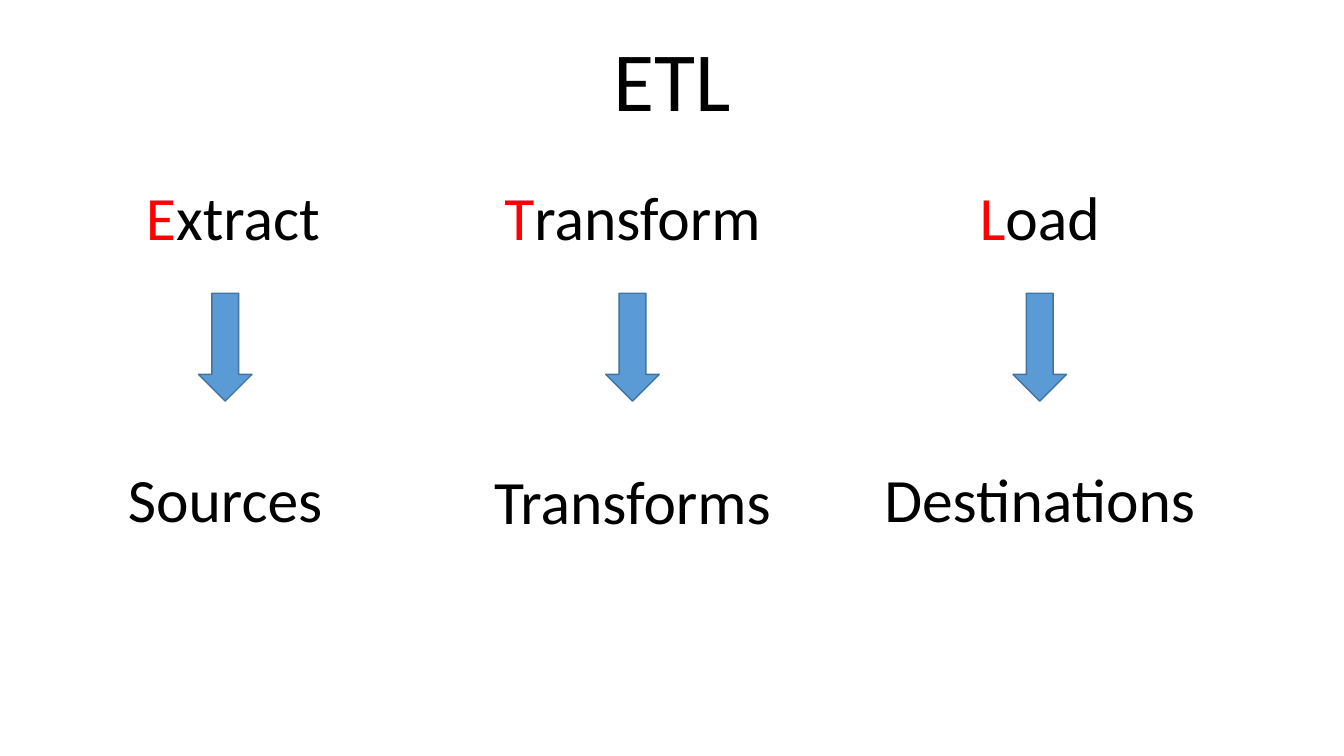
from pptx import Presentation
from pptx.dml.color import RGBColor
from pptx.enum.shapes import MSO_SHAPE as Shape
from pptx.enum.text import MSO_ANCHOR as Anchor, PP_ALIGN as Align
from pptx.util import Pt

BLACK = RGBColor(0x00, 0x00, 0x00)
RED = RGBColor(0xFF, 0x00, 0x00)
BLUE = RGBColor(0x5B, 0x9B, 0xD5)
DARK_BLUE = RGBColor(0x43, 0x73, 0x9E)

PAGE_WIDTH, PAGE_HEIGHT = 960, 540
FIRST_CENTER, COLUMN_STEP = 160.9, 290.9
LABEL_HEIGHT = 104.4
STEP_TOP, ARROW_TOP = 105.1, 209.5
ARROW_WIDTH, ARROW_HEIGHT = 38.2, 77


class Slide:
    font_name = "Calibri"

    def __init__(self, page):
        self.page = page

    def label(self, center, top, width, height, spans, size=44, anchor=Anchor.MIDDLE):
        """Add centred right-to-left text made of (text, colour) spans."""
        box = self.page.shapes.add_textbox(
            Pt(center - width / 2), Pt(top), Pt(width), Pt(height))
        frame = box.text_frame
        frame.word_wrap = True
        frame.vertical_anchor = anchor
        para = frame.paragraphs[0]
        for name, value in {"alignment": Align.CENTER, "line_spacing": 0.9}.items():
            setattr(para, name, value)
        para._p.get_or_add_pPr().set("rtl", "1")
        for text, color in spans:
            span = para.add_run()
            span.text = text
            for name, value in {"name": self.font_name, "size": Pt(size)}.items():
                setattr(span.font, name, value)
            span.font.color.rgb = color

    def down_arrow(self, center, top, width, height):
        arrow = self.page.shapes.add_shape(
            Shape.DOWN_ARROW, Pt(center - width / 2), Pt(top), Pt(width), Pt(height))
        arrow.shadow.inherit = False
        arrow.fill.solid()
        arrow.fill.fore_color.rgb = BLUE
        arrow.line.color.rgb = DARK_BLUE
        arrow.line.width = Pt(1)


def main():
    deck = Presentation()
    deck.slide_width, deck.slide_height = Pt(PAGE_WIDTH), Pt(PAGE_HEIGHT)
    slide = Slide(deck.slides.add_slide(deck.slide_layouts[6]))

    # Title
    slide.label(PAGE_WIDTH / 2, -0.7, PAGE_WIDTH, 97.2, [("ETL", BLACK)],
                size=60, anchor=Anchor.BOTTOM)

    # Columns: step name and width, then part name, width and top
    columns = [
        ("Extract ", 189.4, "Sources", 189.4, 306.7),
        ("Transform", 203, "Transforms", 267.8, 308.2),
        ("Load", 189.4, "Destinations", 267.8, 306.7),
    ]
    for index, (step, step_width, part, part_width, part_top) in enumerate(columns):
        center = FIRST_CENTER + index * COLUMN_STEP
        slide.label(center, STEP_TOP, step_width, LABEL_HEIGHT,
                    [(step[0], RED), (step[1:], BLACK)])
        slide.down_arrow(center, ARROW_TOP, ARROW_WIDTH, ARROW_HEIGHT)
        slide.label(center, part_top, part_width, LABEL_HEIGHT, [(part, BLACK)])

    deck.save("out.pptx")


if __name__ == "__main__":
    main()
